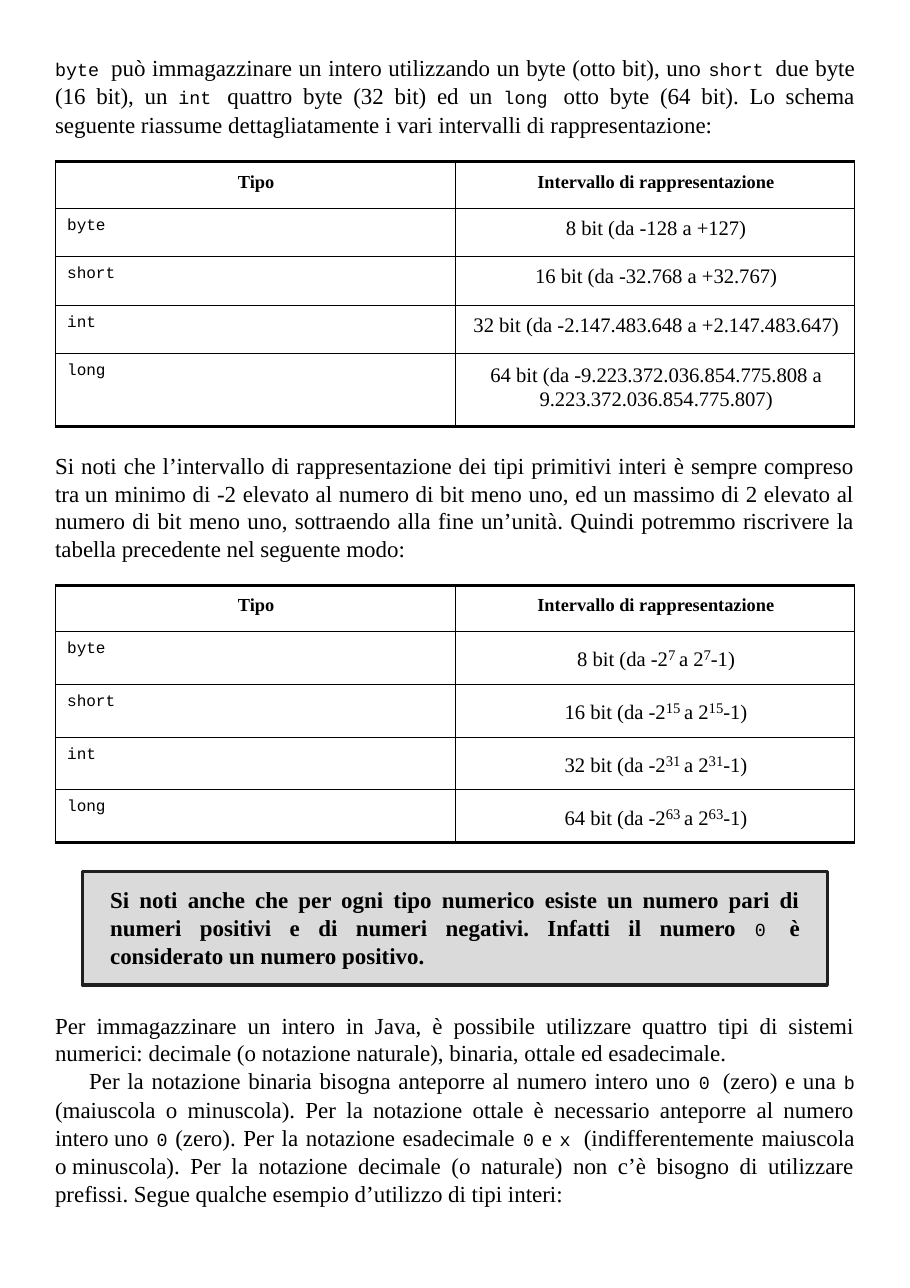
import pptx
import pptx.util
import pptx.dml.color
import pptx.enum.shapes
import pptx.enum.text
import pptx.oxml

Inches, Pt = pptx.util.Inches, pptx.util.Pt
RGBColor = pptx.dml.color.RGBColor
ALIGN = pptx.enum.text.PP_ALIGN

BLACK = RGBColor(0x00, 0x00, 0x00)
GREY = RGBColor(0xDA, 0xDA, 0xDA)
DARK = RGBColor(0x1F, 0x1F, 0x1F)
SERIF, MONO = "Times New Roman", "Courier New"
NBSP = chr(160)
NS = 'xmlns:a="http://schemas.openxmlformats.org/drawingml/2006/main"'

# Page grid: equal side margins, a narrower band for the note
W, H = 8.26, 11.69
MARGIN, NOTE_MARGIN = 0.5, 0.75
BODY_W = W - 2 * MARGIN


def write(p, text, size, bold=False, code_size=12):
    """Backticks mark code, carets superscripts, tildes non-breaking spaces."""
    for i, part in enumerate(text.replace("~", NBSP).split("`")):
        for j, piece in enumerate(part.split("^")):
            if not piece:
                continue
            r = p.add_run()
            r.text = piece
            code, raised = i % 2 == 1, j % 2 == 1
            r.font.name = MONO if code else SERIF
            r.font.size = Pt(code_size if code else 16.5 if raised else size)
            r.font.bold = bold and not code
            r.font.color.rgb = BLACK
            if raised:
                r.font._element.set("baseline", "25000")


def fill_frame(tf, paragraphs, size, align, margins, bold=False, code_size=12):
    """Each paragraph is text, line spacing and first-line indent."""
    tf.word_wrap = True
    tf.vertical_anchor = pptx.enum.text.MSO_ANCHOR.TOP
    tf.margin_left, tf.margin_top, tf.margin_right, tf.margin_bottom = map(Inches, margins)
    for n, (text, spacing, indent) in enumerate(paragraphs):
        p = tf.add_paragraph() if n else tf.paragraphs[0]
        p.alignment = align
        p.line_spacing = spacing
        if indent:
            p._p.get_or_add_pPr().set("indent", str(Inches(indent)))
        write(p, text, size, bold, code_size)


prs = pptx.Presentation()
prs.slide_width, prs.slide_height = Inches(W), Inches(H)
s = prs.slides.add_slide(prs.slide_layouts[6])

# Tables: top, row heights, top inset of the ranges, ranges
types = ["byte", "short", "int", "long"]
bits = [8, 16, 32, 64]
decimal_ranges = [
    "8 bit (da -128 a +127)",
    "16 bit (da -32.768 a +32.767)",
    "32 bit (da -2.147.483.648 a +2.147.483.647)",
    "64 bit (da -9.223.372.036.854.775.808 a\n9.223.372.036.854.775.807)",
]
power_ranges = [f"{b} bit (da -2^{b - 1} ^a 2^{b - 1}^-1)" for b in bits]
tables = [
    (1.47, [0.42, 0.44, 0.44, 0.44, 0.66], 0.08, decimal_ranges),
    (5.31, [0.42, 0.48, 0.48, 0.48, 0.48], 0.12, power_ranges),
]
for top, heights, range_inset, ranges in tables:
    rows = len(heights)
    table = s.shapes.add_table(rows, 2, Inches(MARGIN), Inches(top),
                               Inches(BODY_W), Inches(sum(heights))).table
    table.first_row = table.horz_banding = False
    for row, height in zip(table.rows, heights):
        row.height = Inches(height)
    content = [("Tipo", "Intervallo di rappresentazione")]
    content += [(f"`{name}`", rng) for name, rng in zip(types, ranges)]
    for y, values in enumerate(content):
        for x, value in enumerate(values):
            cell = table.cell(y, x)
            cell.fill.background()
            header = y == 0
            is_type = not header and x == 0
            inset = 0.09 if header else range_inset if x else 0.08
            margins = (0.11 if is_type else 0.02, inset, 0, 0)
            lines = value.split("\n")
            spacing = Pt(15.9) if len(lines) > 1 else 1.0
            fill_frame(cell.text_frame, [(line, spacing, 0) for line in lines],
                       12 if header else 13.5, ALIGN.LEFT if is_type else ALIGN.CENTER,
                       margins, header, 10.5)
            # The text frame of a cell leaves margins and anchor to the cell
            cell.margin_left, cell.margin_top, cell.margin_right, cell.margin_bottom = map(
                Inches, margins)
            cell.vertical_anchor = pptx.enum.text.MSO_ANCHOR.TOP
            body = cell.text_frame._txBody.bodyPr
            for name in list(body.attrib):
                del body.attrib[name]
            # Borders: heavy at the top and bottom of the table
            heavy = {"T": y == 0, "B": y == rows - 1}
            for n, side in enumerate("LRTB"):
                width = Pt(2.25 if heavy.get(side) else 0.75)
                cell._tc.get_or_add_tcPr().insert(n, pptx.oxml.parse_xml(
                    f'<a:ln{side} {NS} w="{width}"><a:solidFill>'
                    f'<a:srgbClr val="{BLACK}"/></a:solidFill></a:ln{side}>'))

# Running text: top, height, top inset, paragraphs
blocks = [
    (0.47, 0.8, 0, [
        ("`byte `può immagazzinare un intero utilizzando un byte (otto bit), uno `short `due "
         "byte (16 bit), un `int `quattro byte (32 bit) ed un `long `otto byte (64 bit). Lo "
         "schema seguente~riassume dettagliatamente i vari intervalli di rappresentazione:",
         1.05, 0)]),
    (4.09, 1.03, 0.01, [
        ("Si noti che l’intervallo di rappresentazione dei tipi primitivi interi è sempre "
         "compreso tra~un minimo di -2 elevato al numero di bit meno uno, ed un massimo di 2 "
         "elevato al numero di bit meno uno, sottraendo alla fine un’unità. Quindi potremmo "
         "riscrivere la tabella precedente nel seguente modo:", 1.0, 0)]),
    (9.17, 1.8, 0.01, [
        ("Per immagazzinare un intero in Java, è possibile utilizzare quattro tipi di sistemi "
         "numerici: decimale (o notazione naturale), binaria, ottale ed esadecimale.", 1.0, 0),
        ("Per la notazione binaria bisogna anteporre al numero intero uno `0 `(zero) e una `b` "
         "(maiuscola o minuscola). Per la notazione ottale è necessario anteporre al numero "
         "intero~uno `0` (zero). Per la notazione esadecimale `0` e `x `(indifferentemente "
         "maiuscola o~minuscola). Per la notazione decimale (o naturale) non c’è bisogno di "
         "utilizzare prefissi.~Segue qualche esempio d’utilizzo di tipi interi:", 1.02, 0.31)]),
]
for top, height, inset, paragraphs in blocks:
    box = s.shapes.add_textbox(Inches(MARGIN), Inches(top), Inches(BODY_W), Inches(height))
    fill_frame(box.text_frame, paragraphs, 15, ALIGN.JUSTIFY, (0, inset, 0, 0))

# Note
note = s.shapes.add_shape(pptx.enum.shapes.MSO_SHAPE.RECTANGLE, Inches(NOTE_MARGIN),
                          Inches(7.91), Inches(W - 2 * NOTE_MARGIN), Inches(1.03))
note.shadow.inherit = False
note.fill.solid()
note.fill.fore_color.rgb = GREY
note.line.color.rgb = DARK
note.line.width = Pt(2.25)
fill_frame(note.text_frame, [
    ("Si noti anche che per ogni tipo numerico esiste un numero pari di numeri positivi e di "
     "numeri negativi. Infatti il numero `0 `è considerato~un numero positivo.", 1.02, 0)],
    15, ALIGN.JUSTIFY, (0.25, 0.12, 0.25, 0), bold=True)

prs.save("out.pptx")
